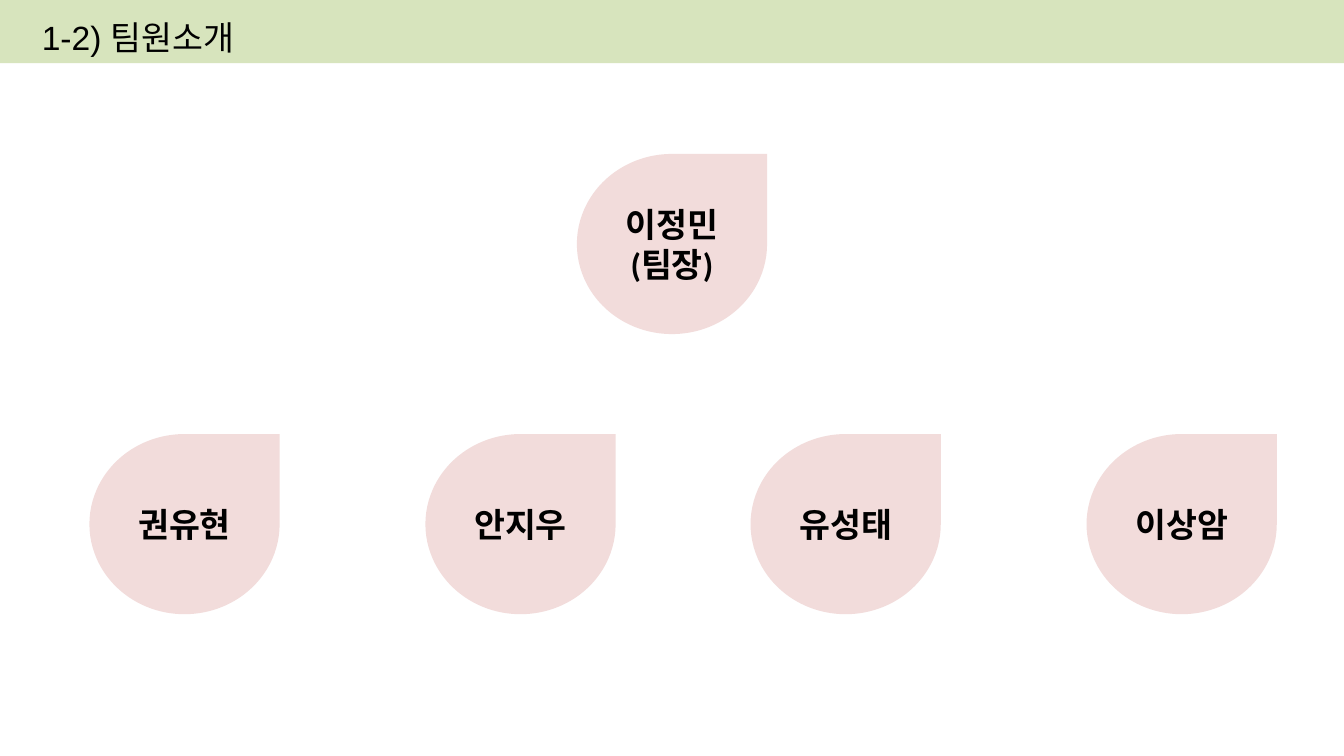
from pptx import Presentation
from pptx.dml.color import RGBColor
from pptx.enum.shapes import MSO_SHAPE as Shape
from pptx.enum.text import MSO_ANCHOR as Anchor, MSO_AUTO_SIZE as Fit, PP_ALIGN as Align
from pptx.util import Cm, Pt

COLORS = {"band": "D7E4BD", "drop": "F2DCDB", "text": "000000"}
WIDTH, HEIGHT = 50.8, 28.58
DROP_W, DROP_H = 7.19, 6.81
LEAD_TOP, TEAM_TOP = 5.82, 16.41
TEAM = {"권유현": 3.38, "안지우": 16.08, "유성태": 28.37, "이상암": 41.07}


def color(name):
    return RGBColor.from_string(COLORS[name])


def style(para, font, bold=False):
    para.font.name = font
    para.font.size = Pt(36)
    para.font.bold = bold
    para.font.color.rgb = color("text")


def add_block(slide, kind, fill, left, top, width, height):
    """Add a flat filled shape without outline or shadow."""
    block = slide.shapes.add_shape(kind, Cm(left), Cm(top), Cm(width), Cm(height))
    block.shadow.inherit = False
    block.fill.solid()
    block.fill.fore_color.rgb = color(fill)
    block.line.fill.background()
    return block


def add_title(slide, text):
    box = slide.shapes.add_textbox(Cm(0.64), Cm(0.18), Cm(23.93), Cm(2.01))
    frame = box.text_frame
    frame.word_wrap = True
    frame.auto_size = Fit.SHAPE_TO_FIT_TEXT
    frame.vertical_anchor = Anchor.MIDDLE
    frame.margin_left = Cm(0.94)
    frame.margin_top = frame.margin_right = frame.margin_bottom = 0
    frame.text = text
    para = frame.paragraphs[0]
    para.line_spacing = Pt(55.8)
    style(para, "Arial")


def add_member(slide, text, left, top):
    drop = add_block(slide, Shape.TEAR, "drop", left, top, DROP_W, DROP_H)
    frame = drop.text_frame
    frame.vertical_anchor = Anchor.MIDDLE
    frame.text = text
    for para in frame.paragraphs:
        para.alignment = Align.CENTER
        style(para, "Calibri", bold=True)


def main():
    deck = Presentation()
    deck.slide_width, deck.slide_height = Cm(WIDTH), Cm(HEIGHT)
    slide = deck.slides.add_slide(deck.slide_layouts[6])
    add_block(slide, Shape.RECTANGLE, "band", 0, 0, WIDTH, 2.39)
    add_title(slide, "1-2) 팀원소개")
    add_member(slide, "이정민\n(팀장)", (WIDTH - DROP_W) / 2, LEAD_TOP)
    for name, left in TEAM.items():
        add_member(slide, name, left, TEAM_TOP)
    deck.save("out.pptx")


if __name__ == "__main__":
    main()
